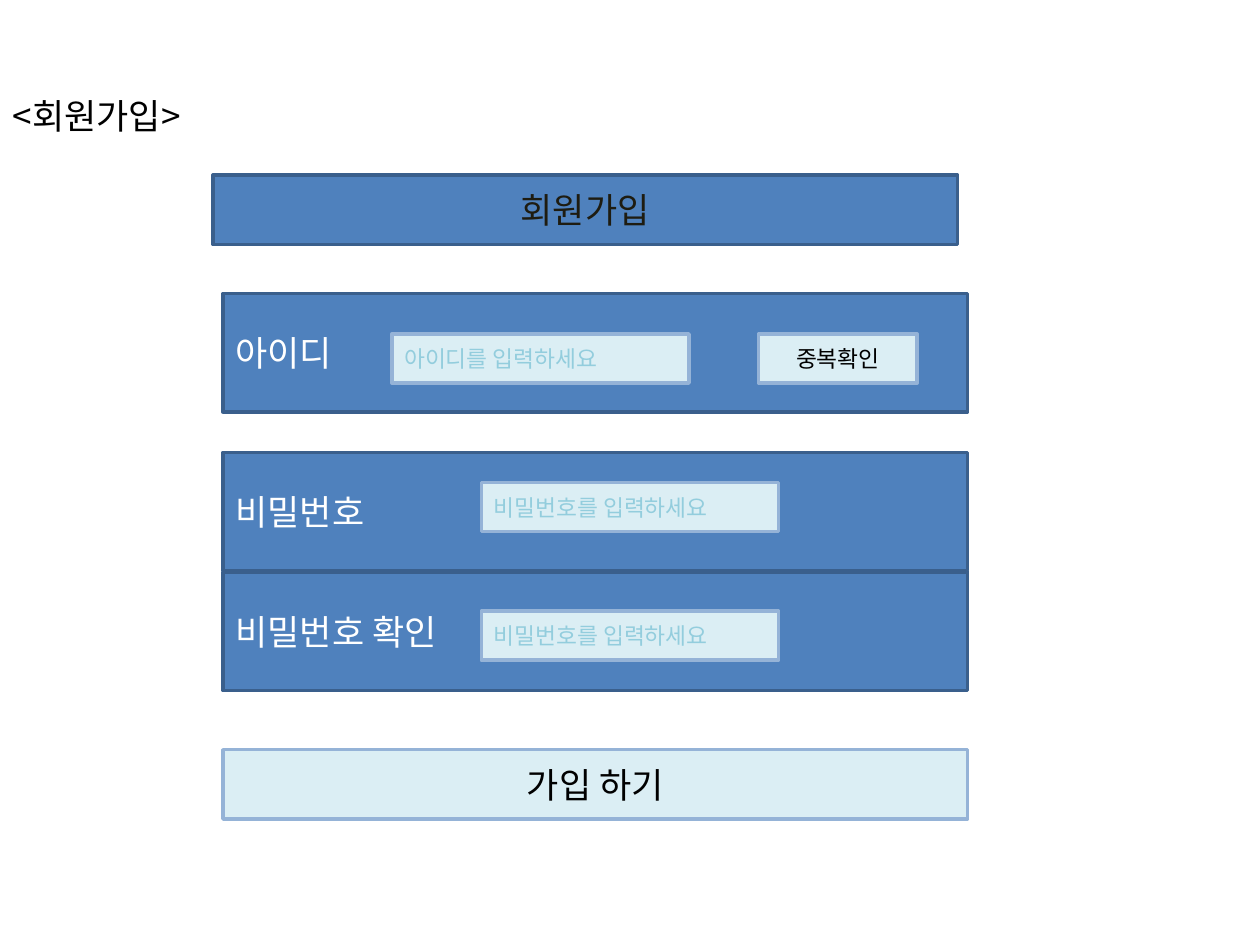
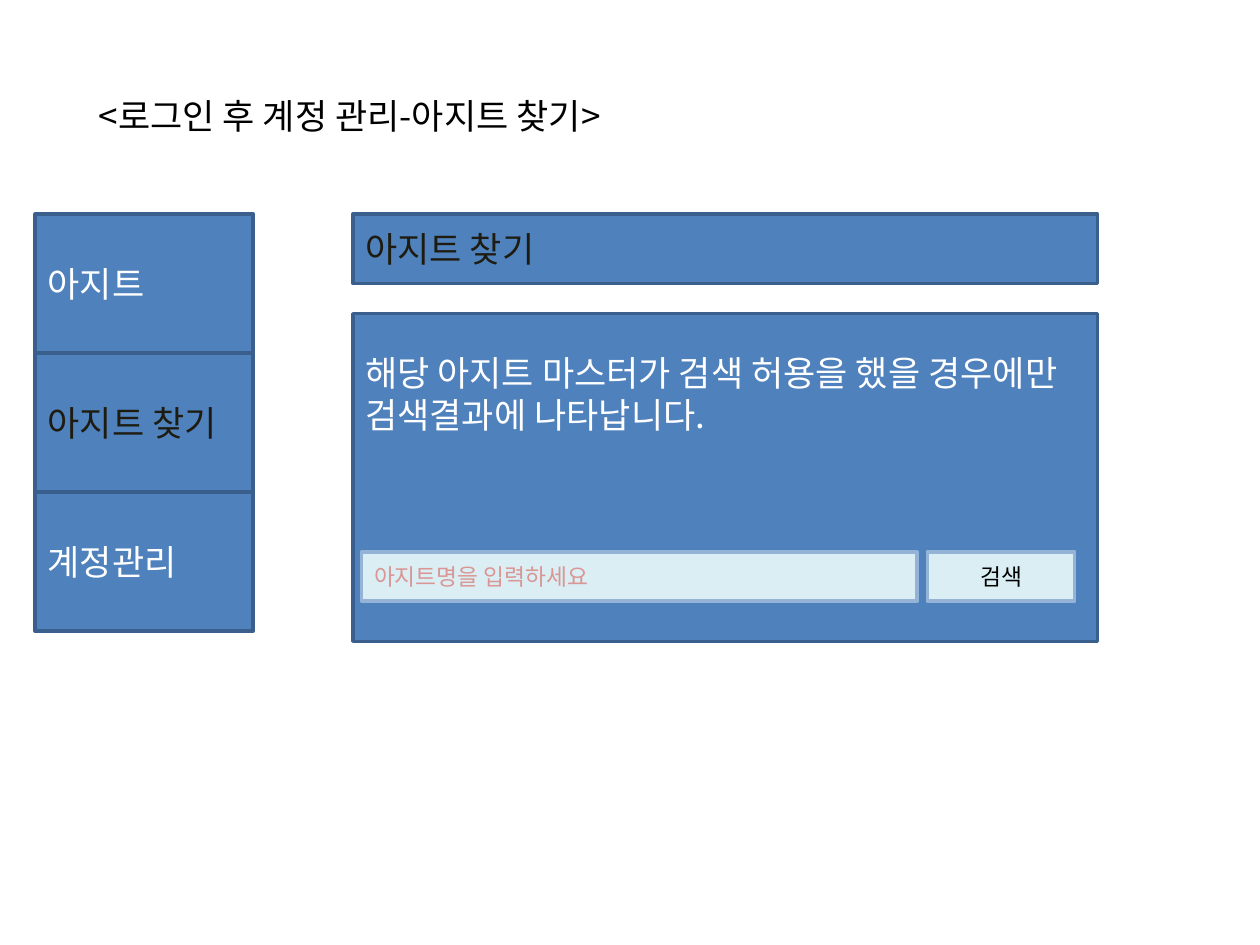
import dataclasses

import lxml.etree
import pptx
import pptx.dml.color
import pptx.enum.shapes
import pptx.enum.text
import pptx.oxml.ns
import pptx.util

Inches = pptx.util.Inches
Align = pptx.enum.text.PP_ALIGN
Anchor = pptx.enum.text.MSO_ANCHOR


@dataclasses.dataclass(frozen=True)
class Theme:
    font: str = "Noto Sans CJK KR"
    panel_fill: str = "4F81BD"
    panel_line: str = "3A5F8C"
    field_fill: str = "DBEEF4"
    field_line: str = "95B3D7"
    light: str = "FFFFFF"
    dark: str = "000000"
    active: str = "1E1C11"
    hint: str = "93CDDD"
    search_hint: str = "D99694"
    large: int = 20
    small: int = 13
    line_width: int = 2
    content_width: float = 5.91
    bar_height: float = 0.55
    field_height: float = 0.39


THEME = Theme()


def rgb(code):
    return pptx.dml.color.RGBColor.from_string(code)


def write(frame, text, size, color, align, anchor=Anchor.MIDDLE):
    frame.word_wrap = True
    frame.auto_size = pptx.enum.text.MSO_AUTO_SIZE.NONE
    frame.vertical_anchor = anchor
    paragraph = frame.paragraphs[0]
    paragraph.alignment = align
    run = paragraph.add_run()
    run.text = text
    run.font.name = THEME.font
    run.font.size = pptx.util.Pt(size)
    run.font.color.rgb = rgb(color)
    east_asian = lxml.etree.SubElement(run.font._element, pptx.oxml.ns.qn("a:ea"))
    east_asian.set("typeface", THEME.font)


def add_titled_slide(deck, title, width, align):
    slide = deck.slides.add_slide(deck.slide_layouts.get_by_name("Title Only"))
    heading = slide.shapes.title
    heading.left, heading.top = Inches(0), Inches(0.52)
    heading.width, heading.height = Inches(width), Inches(0.79)
    write(heading.text_frame, title, THEME.large, THEME.dark, align)
    return slide


def add_box(slide, bounds, fill, line):
    box = slide.shapes.add_shape(
        pptx.enum.shapes.MSO_SHAPE.RECTANGLE, *map(Inches, bounds))
    box.shadow.inherit = False
    box.fill.solid()
    box.fill.fore_color.rgb = rgb(fill)
    box.line.color.rgb = rgb(line)
    box.line.width = pptx.util.Pt(THEME.line_width)
    return box.text_frame


def add_panel(slide, bounds, text, color=THEME.light, align=Align.LEFT):
    frame = add_box(slide, bounds, THEME.panel_fill, THEME.panel_line)
    write(frame, text, THEME.large, color, align)


def add_notice(slide, bounds, text):
    frame = add_box(slide, bounds, THEME.panel_fill, THEME.panel_line)
    frame.margin_top = Inches(0.3)
    write(frame, text, THEME.large, THEME.light, Align.LEFT, Anchor.TOP)


def add_field(slide, left, top, width, hint, color=THEME.hint):
    frame = add_box(slide, (left, top, width, THEME.field_height),
                    THEME.field_fill, THEME.field_line)
    write(frame, hint, THEME.small, color, Align.LEFT)


def add_button(slide, bounds, label, size=THEME.small):
    frame = add_box(slide, bounds, THEME.field_fill, THEME.field_line)
    write(frame, label, size, THEME.dark, Align.CENTER)


def build_sign_up(deck):
    slide = add_titled_slide(deck, "<회원가입>", 4.33, Align.LEFT)
    form_left, field_width = 1.77, 2.36
    width, bar_height = THEME.content_width, THEME.bar_height

    add_panel(slide, (1.69, 1.39, width, bar_height), "회원가입",
              THEME.active, Align.CENTER)

    form_rows = [
        ("아이디", 2.33, 3.11, 2.65, "아이디를 입력하세요"),
        ("비밀번호", 3.59, 3.82, 3.83, "비밀번호를 입력하세요"),
        ("비밀번호 확인", 4.54, 3.82, 4.85, "비밀번호를 입력하세요"),
    ]
    for label, row_top, field_left, field_top, hint in form_rows:
        add_panel(slide, (form_left, row_top, width, 0.94), label)
        add_field(slide, field_left, field_top, field_width, hint)

    add_button(slide, (6.02, 2.65, 1.26, THEME.field_height), "중복확인")
    add_button(slide, (form_left, 5.95, width, bar_height), "가입 하기", THEME.large)


def build_hideout_search(deck):
    slide = add_titled_slide(
        deck, "<로그인 후 계정 관리-아지트 찾기>", 5.55, Align.CENTER)
    content_left, content_top = 2.8, 1.7
    current_page = "아지트 찾기"

    menu_height = 1.1
    for position, entry in enumerate(["아지트", current_page, "계정관리"]):
        color = THEME.active if entry == current_page else THEME.light
        entry_top = content_top + position * (menu_height + 0.005)
        add_panel(slide, (0.28, entry_top, 1.73, menu_height), entry, color)

    add_panel(slide, (content_left, content_top, THEME.content_width, THEME.bar_height),
              current_page, THEME.active)
    add_notice(slide, (content_left, 2.49, THEME.content_width, 2.6),
               "해당 아지트 마스터가 검색 허용을 했을 경우에만 검색결과에 나타납니다.")

    search_top = 4.38
    add_field(slide, 2.87, search_top, 4.41, "아지트명을 입력하세요", THEME.search_hint)
    add_button(slide, (7.36, search_top, 1.17, THEME.field_height), "검색")


def main():
    deck = pptx.Presentation()
    deck.slide_width, deck.slide_height = Inches(10), Inches(7.5)
    build_sign_up(deck)
    build_hideout_search(deck)
    deck.save("out.pptx")


if __name__ == "__main__":
    main()
